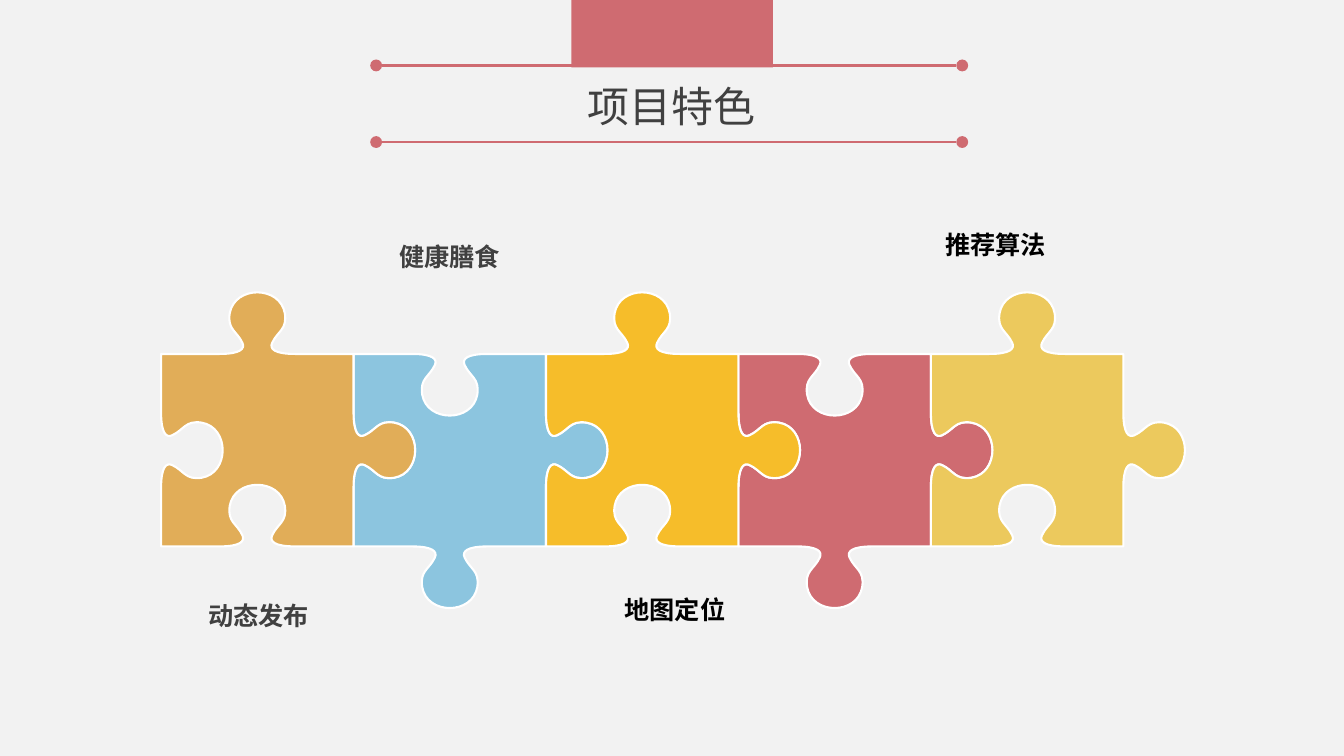
from dataclasses import dataclass

from lxml import etree
from pptx import Presentation
from pptx.dml.color import RGBColor
from pptx.enum.shapes import MSO_CONNECTOR, MSO_SHAPE
from pptx.enum.text import MSO_ANCHOR, MSO_AUTO_SIZE, PP_ALIGN
from pptx.oxml.ns import qn
from pptx.util import Cm, Pt

STRAIGHT = MSO_CONNECTOR.STRAIGHT
OVAL, RECTANGLE = MSO_SHAPE.OVAL, MSO_SHAPE.RECTANGLE
TOP = MSO_ANCHOR.TOP
FIT_SHAPE = MSO_AUTO_SIZE.SHAPE_TO_FIT_TEXT
CENTER, LEFT = PP_ALIGN.CENTER, PP_ALIGN.LEFT
TITLE_ONLY_LAYOUT = 5


@dataclass(frozen=True)
class Theme:
    background: str = "F2F2F2"
    accent: str = "CF6B71"
    outline: str = "FFFFFF"
    grey_text: str = "404040"
    black_text: str = "000000"
    orange: str = "E1AD58"
    blue: str = "8CC5DF"
    amber: str = "F6BD2A"
    yellow: str = "ECC95D"
    font: str = "Noto Sans CJK SC"
    label_font: str = "Noto Sans CJK JP"
    title_size: float = 30
    label_size: float = 18
    label_spacing: float = 26
    rule_width: float = 2
    outline_width: float = 1.5


THEME = Theme()


@dataclass(frozen=True)
class Piece:
    column: int
    color: str
    knob_on_top: bool


@dataclass(frozen=True)
class Label:
    text: str
    box: tuple[float, float, float, float]
    font: str
    color: str
    centered: bool


# Positions in centimetres
RULE_LEFT, RULE_RIGHT, DOT = 9.63, 24.1, 0.3
RULE_TOPS = (1.65, 3.58)
TITLE_BOX = (14.55, 1.9, 4.75, 1.52)
TAB_BOX = (14.4, 0, 5.08, 1.7)
PUZZLE_LEFT, PUZZLE_TOP, SIDE = 4.06, 8.92, 4.85

# Half of a knobbed edge as curve points: (distance along the edge, distance outwards)
KNOB_HALF = [
    (1.47, 0), (2.0, 0), (2.12, 0.13), (2.05, 0.28),
    (1.91, 0.58), (1.67, 0.61), (1.73, 1.02), (1.85, 1.73),
]
KNOB = KNOB_HALF + [(SIDE - along, out) for along, out in reversed(KNOB_HALF)]
EDGE = KNOB + [(SIDE, 0)]

# Listed from back to front
PIECES = [
    Piece(3, THEME.accent, False),
    Piece(4, THEME.yellow, True),
    Piece(1, THEME.blue, False),
    Piece(0, THEME.orange, True),
    Piece(2, THEME.amber, True),
]
LABELS = [
    Label("动态发布", (4.98, 14.86, 3.07, 1.09), THEME.label_font, THEME.grey_text, True),
    Label("健康膳食", (9.8, 5.79, 3.07, 1.09), THEME.label_font, THEME.grey_text, True),
    Label("地图定位", (15.49, 14.86, 3.66, 1.02), THEME.font, THEME.black_text, False),
    Label("推荐算法", (23.57, 5.66, 4.27, 1.02), THEME.font, THEME.black_text, False),
]


def rgb(color: str) -> RGBColor:
    return RGBColor.from_string(color)


def set_text(shape, text: str, color: str, alignment, wrap: bool, font_format: dict):
    frame = shape.text_frame
    frame_format = {"word_wrap": wrap, "auto_size": FIT_SHAPE, "vertical_anchor": TOP}
    for name, value in frame_format.items():
        setattr(frame, name, value)
    paragraph = frame.paragraphs[0]
    paragraph.alignment = alignment
    run = paragraph.add_run()
    run.text = text
    for name, value in font_format.items():
        setattr(run.font, name, value)
    run.font.color.rgb = rgb(color)
    # Chinese characters take the East Asian typeface
    properties = run._r.get_or_add_rPr()
    etree.SubElement(properties, qn("a:ea"), typeface=font_format["name"])
    return paragraph


def add_accent_shape(slide, kind, box: tuple[float, float, float, float]) -> None:
    shape = slide.shapes.add_shape(kind, *map(Cm, box))
    shape.shadow.inherit = False
    shape.fill.solid()
    shape.fill.fore_color.rgb = rgb(THEME.accent)
    shape.line.fill.background()


def add_rule(slide, top: float) -> None:
    connector = slide.shapes.add_connector(
        STRAIGHT, Cm(RULE_LEFT), Cm(top), Cm(RULE_RIGHT), Cm(top))
    connector.line.color.rgb = rgb(THEME.accent)
    connector.line.width = Pt(THEME.rule_width)
    etree.SubElement(connector._element.spPr, qn("a:effectLst"))
    for left in (RULE_LEFT - DOT, RULE_RIGHT):
        add_accent_shape(slide, OVAL, (left, top - DOT / 2, DOT, DOT))


def piece_outline(piece: Piece) -> list[tuple[int, int]]:
    x, y = PUZZLE_LEFT + piece.column * SIDE, PUZZLE_TOP
    step_x, step_y = 1, 0
    vertical = 1 if piece.knob_on_top else -1
    outline = [(Cm(x), Cm(y))]
    # Clockwise from the top edge; 1 is a knob, -1 a socket
    for sign in (vertical, 1, -vertical, -1):
        for along, out in EDGE:
            outline.append((Cm(x + along * step_x + sign * out * step_y),
                            Cm(y + along * step_y - sign * out * step_x)))
        x, y = x + SIDE * step_x, y + SIDE * step_y
        step_x, step_y = -step_y, step_x
    return outline


def curve_knobs(shape) -> None:
    """Join each three segments of a knob into one Bézier curve."""
    segments = list(shape._element.iter(qn("a:lnTo")))
    for edge_start in range(0, len(segments), len(EDGE)):
        for first in range(edge_start + 1, edge_start + len(KNOB), 3):
            curve = etree.Element(qn("a:cubicBezTo"))
            segments[first].addprevious(curve)
            for segment in segments[first:first + 3]:
                curve.append(segment[0])
                segment.getparent().remove(segment)


def add_piece(group, piece: Piece) -> None:
    start, *others = piece_outline(piece)
    builder = group.shapes.build_freeform(*start)
    builder.add_line_segments(others, close=True)
    shape = builder.convert_to_shape()
    curve_knobs(shape)
    shape.shadow.inherit = False
    shape.fill.solid()
    shape.fill.fore_color.rgb = rgb(piece.color)
    shape.line.color.rgb = rgb(THEME.outline)
    shape.line.width = Pt(THEME.outline_width)


def add_label(slide, label: Label) -> None:
    shape = slide.shapes.add_textbox(*map(Cm, label.box))
    font_format = {"name": label.font, "size": Pt(THEME.label_size), "bold": True}
    alignment = CENTER if label.centered else LEFT
    paragraph = set_text(shape, label.text, label.color, alignment,
                         not label.centered, font_format)
    if label.centered:
        paragraph.line_spacing = Pt(THEME.label_spacing)


def main() -> None:
    presentation = Presentation()
    presentation.slide_width, presentation.slide_height = Cm(33.87), Cm(19.05)
    slide = presentation.slides.add_slide(presentation.slide_layouts[TITLE_ONLY_LAYOUT])
    slide.background.fill.solid()
    slide.background.fill.fore_color.rgb = rgb(THEME.background)

    # Title with its tab and rules
    title = slide.shapes.title
    for name, value in zip(("left", "top", "width", "height"), TITLE_BOX):
        setattr(title, name, Cm(value))
    set_text(title, "项目特色", THEME.grey_text, CENTER, False,
             {"name": THEME.font, "size": Pt(THEME.title_size), "bold": False})
    add_accent_shape(slide, RECTANGLE, TAB_BOX)
    for top in RULE_TOPS:
        add_rule(slide, top)

    # Puzzle
    puzzle = slide.shapes.add_group_shape()
    for piece in PIECES:
        add_piece(puzzle, piece)

    # Labels
    for label in LABELS:
        add_label(slide, label)

    presentation.save("out.pptx")


if __name__ == "__main__":
    main()
